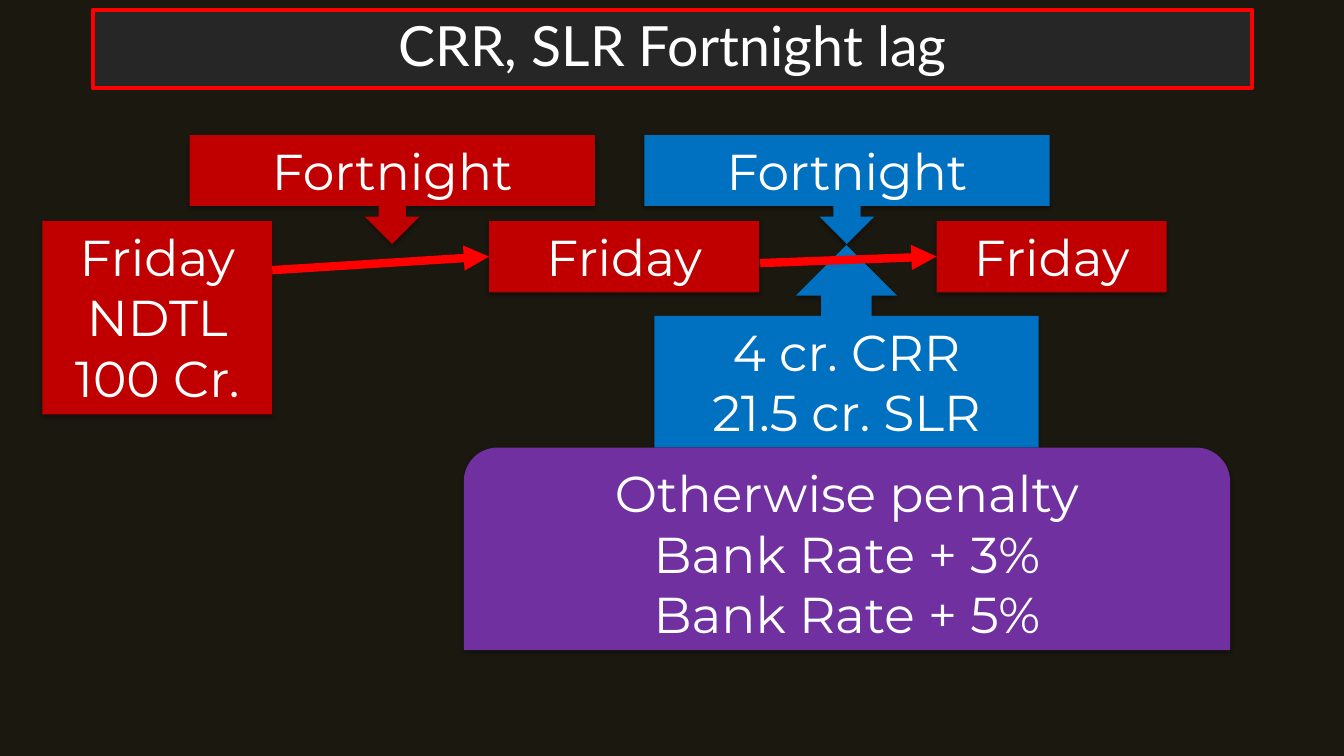
"""Build the slide on the fortnight lag in CRR and SLR."""
from dataclasses import dataclass

from lxml.etree import SubElement
from pptx import Presentation
from pptx.dml.color import RGBColor as RGB
from pptx.enum.shapes import MSO_CONNECTOR as CONN, MSO_SHAPE as SHAPE
from pptx.enum.text import MSO_ANCHOR as ANCHOR, MSO_AUTO_SIZE as AUTO, PP_ALIGN as ALIGN
from pptx.oxml import parse_xml
from pptx.oxml.ns import nsdecls, qn
from pptx.util import Inches, Pt


@dataclass(frozen=True)
class Theme:
    background: RGB = RGB.from_string("1B1810")
    panel: RGB = RGB.from_string("262626")
    accent: RGB = RGB.from_string("FF0000")
    red: RGB = RGB.from_string("C00000")
    blue: RGB = RGB.from_string("0070C0")
    purple: RGB = RGB.from_string("7030A0")
    text: RGB = RGB.from_string("FFFFFF")
    title_font: str = "Lato"
    body_font: str = "Montserrat"
    title_size: float = 39.6
    body_size: float = 36
    title_line: float = 3
    arrow_line: float = 6


THEME = Theme()
TITLE = "CRR, SLR Fortnight lag"
TITLE_AT = (0.92, 0.1, 11.5, 0.77)

FRIDAY_TOP, FRIDAY_H = 2.19, 0.71
CALLOUT_TOP, CALLOUT_W, CALLOUT_H = 1.34, 4.02, 1.08

BOXES = {
    "start": (SHAPE.RECTANGLE, THEME.red, (0.42, FRIDAY_TOP, 2.28, 1.92),
              ["Friday", "NDTL", "100 Cr."]),
    "middle": (SHAPE.RECTANGLE, THEME.red, (4.85, FRIDAY_TOP, 2.68, FRIDAY_H), ["Friday"]),
    "end": (SHAPE.RECTANGLE, THEME.red, (9.29, FRIDAY_TOP, 2.28, FRIDAY_H), ["Friday"]),
    "first fortnight": (SHAPE.DOWN_ARROW_CALLOUT, THEME.red,
                        (1.88, CALLOUT_TOP, CALLOUT_W, CALLOUT_H), ["Fortnight"]),
    "second fortnight": (SHAPE.DOWN_ARROW_CALLOUT, THEME.blue,
                         (6.39, CALLOUT_TOP, CALLOUT_W, CALLOUT_H), ["Fortnight"]),
    "reserves": (SHAPE.UP_ARROW_CALLOUT, THEME.blue, (6.49, 2.43, 3.81, 2.01),
                 ["4 cr. CRR", "21.5 cr. SLR"]),
    "penalty": (SHAPE.ROUND_2_SAME_RECTANGLE, THEME.purple, (4.6, 4.44, 7.6, 2.01),
                ["Otherwise penalty", "Bank Rate + 3%", "Bank Rate + 5%"]),
}
ARROWS = [((2.7, 2.68), "middle"), ((7.54, 2.61), "end")]


def write(tf, lines, font, size):
    tf.text = "\n".join(lines)
    tf.word_wrap = True
    for p in tf.paragraphs:
        p.alignment = ALIGN.CENTER
        for r in p.runs:
            r.font.name, r.font.size = font, Pt(size)
            r.font.color.rgb = THEME.text


def add_shadow(sp):
    sp.shadow.inherit = False
    effects = sp.element.spPr.find(qn("a:effectLst"))
    effects.append(parse_xml(
        f'<a:outerShdw {nsdecls("a")} blurRad="{Pt(3.1)}" dist="{Pt(1.8)}" '
        'dir="5400000" rotWithShape="0"><a:srgbClr val="000000">'
        '<a:alpha val="35000"/></a:srgbClr></a:outerShdw>'))


def add_title(s):
    sp = s.shapes.title
    sp.left, sp.top, sp.width, sp.height = map(Inches, TITLE_AT)
    sp.fill.solid()
    sp.fill.fore_color.rgb = THEME.panel
    sp.line.color.rgb = THEME.accent
    sp.line.width = Pt(THEME.title_line)
    tf = sp.text_frame
    write(tf, [TITLE], THEME.title_font, THEME.title_size)
    tf.auto_size = AUTO.NONE
    tf.vertical_anchor = ANCHOR.MIDDLE
    tf.paragraphs[0].line_spacing = 0.9


def add_box(s, kind, color, at, lines):
    sp = s.shapes.add_shape(kind, *map(Inches, at))
    sp.fill.solid()
    sp.fill.fore_color.rgb = color
    sp.line.fill.background()
    add_shadow(sp)
    tf = sp.text_frame
    write(tf, lines, THEME.body_font, THEME.body_size)
    tf.auto_size = AUTO.SHAPE_TO_FIT_TEXT
    tf.vertical_anchor = ANCHOR.TOP
    return sp


def add_arrow(s, start, target):
    x, y = map(Inches, start)
    cxn = s.shapes.add_connector(CONN.STRAIGHT, x, y, target.left, y)
    cxn.end_connect(target, 1)
    cxn.line.color.rgb = THEME.accent
    cxn.line.width = Pt(THEME.arrow_line)
    SubElement(cxn.line._get_or_add_ln(), qn("a:tailEnd"), type="triangle")
    SubElement(cxn._element.spPr, qn("a:effectLst"))


def main():
    prs = Presentation()
    prs.slide_width, prs.slide_height = Inches(13.33), Inches(7.5)
    s = prs.slides.add_slide(prs.slide_layouts[5])
    s.background.fill.solid()
    s.background.fill.fore_color.rgb = THEME.background
    add_title(s)
    boxes = {name: add_box(s, *box) for name, box in BOXES.items()}
    for start, target in ARROWS:
        add_arrow(s, start, boxes[target])
    prs.save("out.pptx")


if __name__ == "__main__":
    main()
